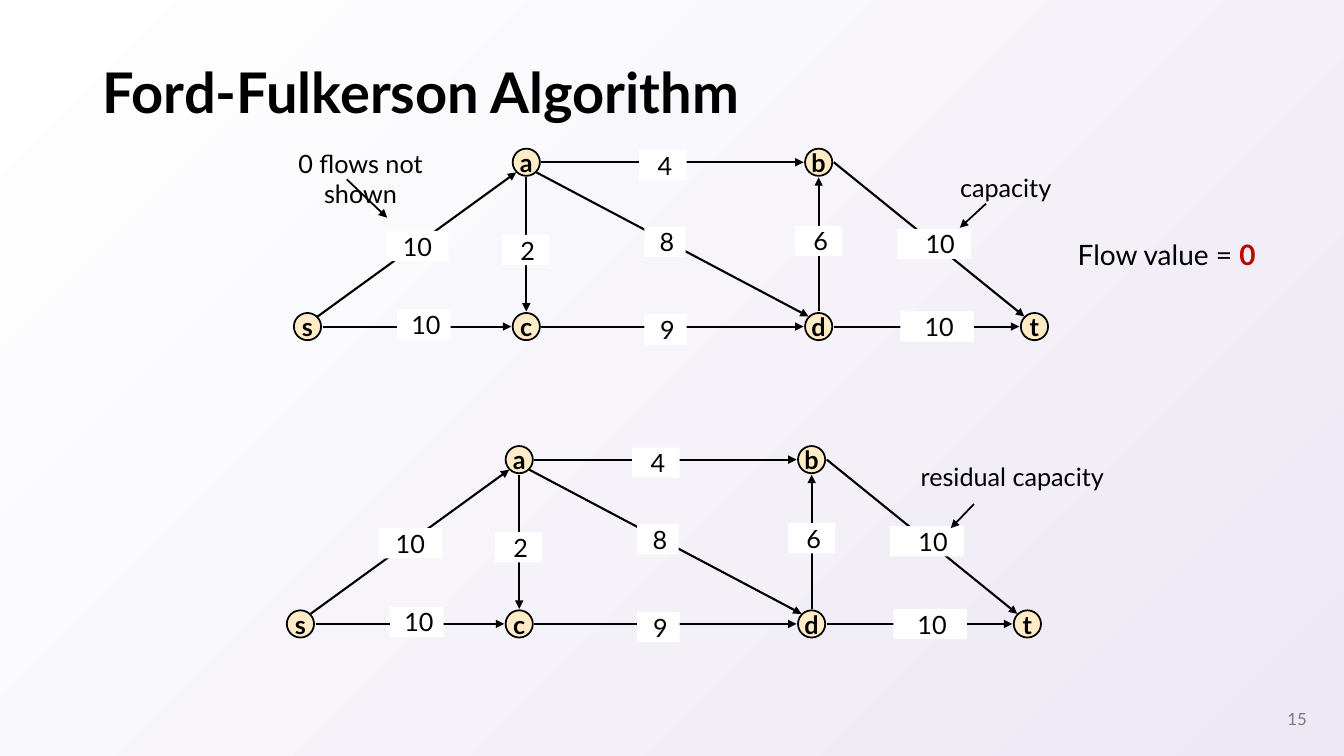
import pptx
import pptx.dml.color
import pptx.enum.shapes
import pptx.enum.text
import pptx.oxml
import pptx.oxml.ns
import pptx.util
from pptx.util import Inches

RGBColor = pptx.dml.color.RGBColor
Shapes = pptx.enum.shapes.MSO_SHAPE
Align = pptx.enum.text.PP_ALIGN
Anchor = pptx.enum.text.MSO_ANCHOR

BLACK = RGBColor(0x00, 0x00, 0x00)
WHITE = RGBColor(0xFF, 0xFF, 0xFF)
LAVENDER = RGBColor(0xED, 0xE8, 0xF4)
CREAM = RGBColor(0xFF, 0xEB, 0xC6)
RED = RGBColor(0xC0, 0x00, 0x00)
GRAY = RGBColor(0x79, 0x79, 0x79)

NODE_SIZE = 0.27
LABEL_HEIGHT = 0.3
STRAIGHT_GAP = 0.15
DIAGONAL_GAP = 0.1
SPACE_INSET = 0.04

# Node centres, relative to the corner of the graph
TOP_ROW, BOTTOM_ROW = 0.14, 1.77
NODES = {
    "s": (0.14, BOTTOM_ROW),
    "a": (2.31, TOP_ROW),
    "c": (2.31, BOTTOM_ROW),
    "b": (5.21, TOP_ROW),
    "d": (5.21, BOTTOM_ROW),
    "t": (7.35, BOTTOM_ROW),
}

# Start, end, capacity, label left, label top, label width, label left inset
EDGES = [
    ("s", "c", "10", 1.03, 1.6, 0.53, SPACE_INSET),
    ("s", "a", "10", 0.92, 0.82, 0.62, 0),
    ("c", "d", "9", 3.48, 1.65, 0.42, SPACE_INSET),
    ("a", "d", "8", 3.48, 0.78, 0.41, SPACE_INSET),
    ("a", "b", "4", 3.43, 0.02, 0.47, SPACE_INSET),
    ("d", "t", "10", 6.02, 1.62, 0.73, SPACE_INSET),
    ("b", "t", "10", 5.99, 0.8, 0.73, 3 * SPACE_INSET),
    ("d", "b", "6", 4.98, 0.77, 0.46, SPACE_INSET),
    ("a", "c", "2", 2.07, 0.86, 0.47, SPACE_INSET),
]


def write(shape, runs, size, align=Align.CENTER, anchor=Anchor.TOP,
          insets=(0.1, 0.05, 0.1, 0.05), wrap=True):
    """Fill a shape with one paragraph of (text, colour, bold) runs."""
    left, top, right, bottom = map(Inches, insets)
    frame_format = {
        "margin_left": left, "margin_top": top,
        "margin_right": right, "margin_bottom": bottom,
        "vertical_anchor": anchor, "word_wrap": wrap,
    }
    for name, value in frame_format.items():
        setattr(shape.text_frame, name, value)
    paragraph = shape.text_frame.paragraphs[0]
    paragraph.alignment = align
    for text, color, bold in runs:
        run = paragraph.add_run()
        run.text = text
        font_format = {"name": "Lato", "size": pptx.util.Pt(size), "bold": bold}
        for name, value in font_format.items():
            setattr(run.font, name, value)
        run.font.color.rgb = color
    return paragraph


def add_text(slide, box, runs, size, **options):
    shape = slide.shapes.add_textbox(*map(Inches, box))
    return write(shape, runs, size, **options)


def add_filled_shape(slide, kind, box, fill):
    shape = slide.shapes.add_shape(kind, *map(Inches, box))
    shape.shadow.inherit = False
    shape.fill.solid()
    shape.fill.fore_color.rgb = fill
    shape.line.fill.background()
    return shape


def add_arrow(slide, start, end, width):
    arrow = slide.shapes.add_connector(
        pptx.enum.shapes.MSO_CONNECTOR.STRAIGHT, *map(Inches, (*start, *end)))
    arrow.line.color.rgb = BLACK
    arrow.line.width = pptx.util.Pt(width)
    tail = pptx.oxml.parse_xml(
        f'<a:tailEnd {pptx.oxml.ns.nsdecls("a")} type="triangle"/>')
    arrow.line._get_or_add_ln().append(tail)
    effects = pptx.oxml.parse_xml(f'<a:effectLst {pptx.oxml.ns.nsdecls("a")}/>')
    arrow._element.spPr.append(effects)


def add_node(slide, name, center_x, center_y):
    box = (center_x - NODE_SIZE / 2, center_y - NODE_SIZE / 2, NODE_SIZE, NODE_SIZE)
    node = add_filled_shape(slide, Shapes.OVAL, box, CREAM)
    node.line.color.rgb = BLACK
    node.line.width = pptx.util.Pt(1.25)
    write(node, [(name, BLACK, True)], 18, anchor=Anchor.MIDDLE, wrap=False)


def add_edge(slide, start, end, leaves_sideways):
    """Draw an arrow from rim to rim of the nodes centred on two points."""
    steps = [(far > near) - (far < near) for near, far in zip(start, end)]
    gap = DIAGONAL_GAP if all(steps) else STRAIGHT_GAP
    tip = [far - step * gap for far, step in zip(end, steps)]
    if leaves_sideways:
        foot = (start[0] + STRAIGHT_GAP, start[1])
    else:
        foot = [near + step * gap for near, step in zip(start, steps)]
    add_arrow(slide, foot, tip, 1.5)


def add_graph(slide, left, top):
    centers = {name: (left + x, top + y) for name, (x, y) in NODES.items()}
    for start, end, *_ in EDGES:
        add_edge(slide, centers[start], centers[end], (start, end) == ("b", "t"))
    for name, center in centers.items():
        add_node(slide, name, *center)
    for _, _, capacity, x, y, width, inset in EDGES:
        box = (left + x, top + y, width, LABEL_HEIGHT)
        label = add_filled_shape(slide, Shapes.RECTANGLE, box, WHITE)
        write(label, [(capacity, BLACK, False)], 18, insets=(inset, 0, 0, 0))


def add_annotation(slide, box, text, arrow_start, arrow_end, left_inset=0.1):
    """Place a note with an arrow whose ends are relative to the note's corner."""
    left, top = box[:2]
    add_text(slide, box, [(text, BLACK, False)], 18,
             insets=(left_inset, 0.05, 0.1, 0.05))
    start, end = [(left + x, top + y) for x, y in (arrow_start, arrow_end)]
    add_arrow(slide, start, end, 1.25)


def add_background(slide):
    fill = slide.background.fill
    fill.gradient()
    fill.gradient_angle = 315
    for stop, color in zip(fill.gradient_stops, (WHITE, LAVENDER)):
        stop.color.rgb = color


def main():
    presentation = pptx.Presentation()
    presentation.slide_width = Inches(13.33)
    presentation.slide_height = Inches(7.5)
    slide = presentation.slides.add_slide(presentation.slide_layouts[6])
    add_background(slide)

    title = add_text(slide, (0.92, 0.4, 11.5, 1.09),
                     [("Ford-Fulkerson Algorithm", BLACK, True)], 40,
                     align=Align.LEFT, anchor=Anchor.MIDDLE)
    title.line_spacing = 0.9

    add_graph(slide, 2.91, 1.47)
    add_text(slide, (10.59, 2.29, 2, 0.46),
             [("Flow value = ", BLACK, False), ("0", RED, True)], 20,
             align=Align.LEFT, anchor=Anchor.MIDDLE, insets=(0.1, 0.15, 0.1, 0.15))
    add_graph(slide, 2.84, 4.42)

    add_annotation(slide, (8.93, 4.53, 2.22, 0.41), "residual capacity",
                   (0.73, 0.47), (0.5, 0.71))
    add_annotation(slide, (9.36, 1.66, 1.23, 0.41), "capacity",
                   (0.42, 0.36), (0.16, 0.6))
    add_annotation(slide, (2.45, 1.42, 2.19, 0.31), "0 flows not shown",
                   (0.99, 0.36), (1.39, 0.74), left_inset=0.16)

    add_text(slide, (10.81, 6.93, 2.25, 0.4), [("15", GRAY, False)], 12,
             align=Align.RIGHT, anchor=Anchor.MIDDLE)
    presentation.save("out.pptx")


if __name__ == "__main__":
    main()
